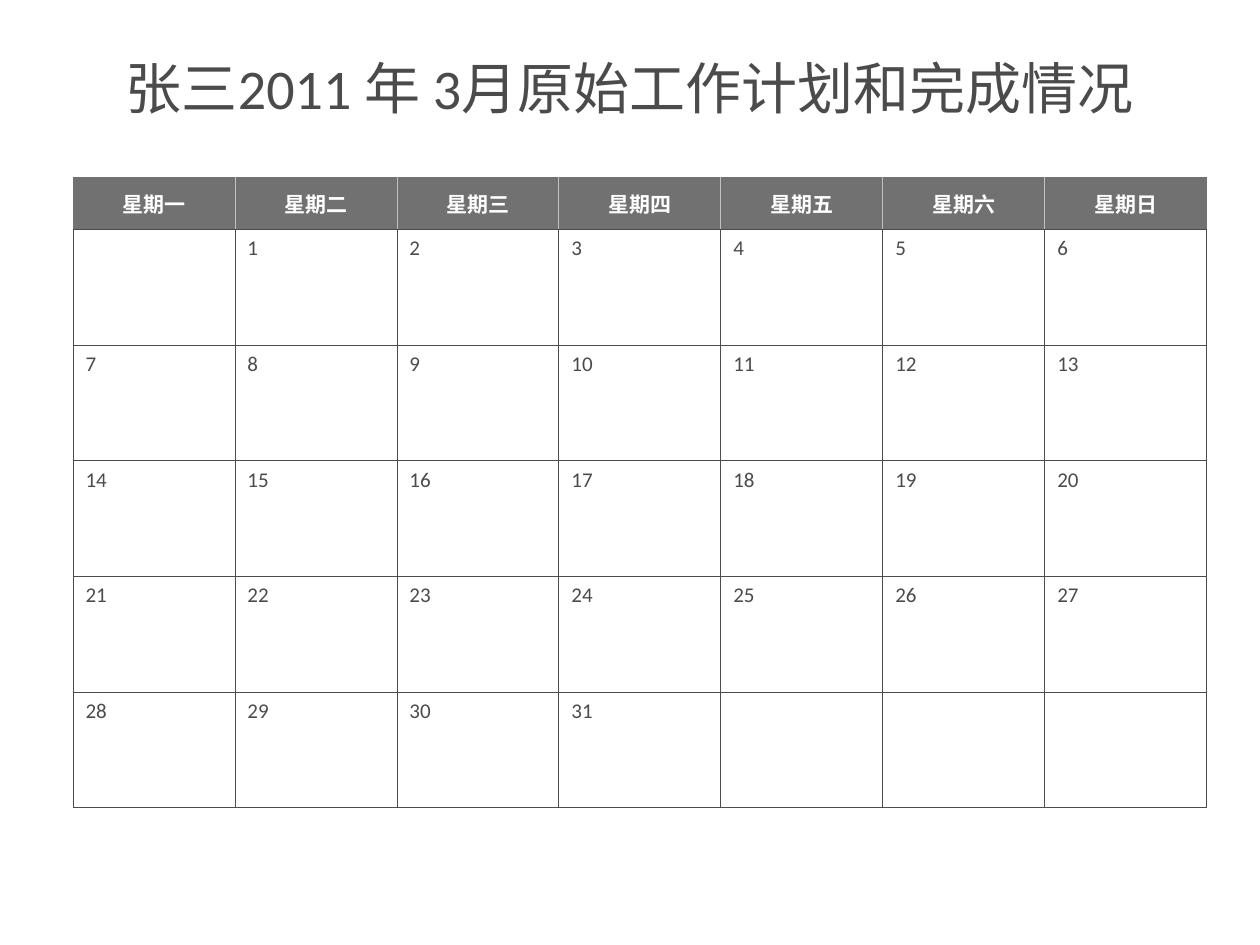
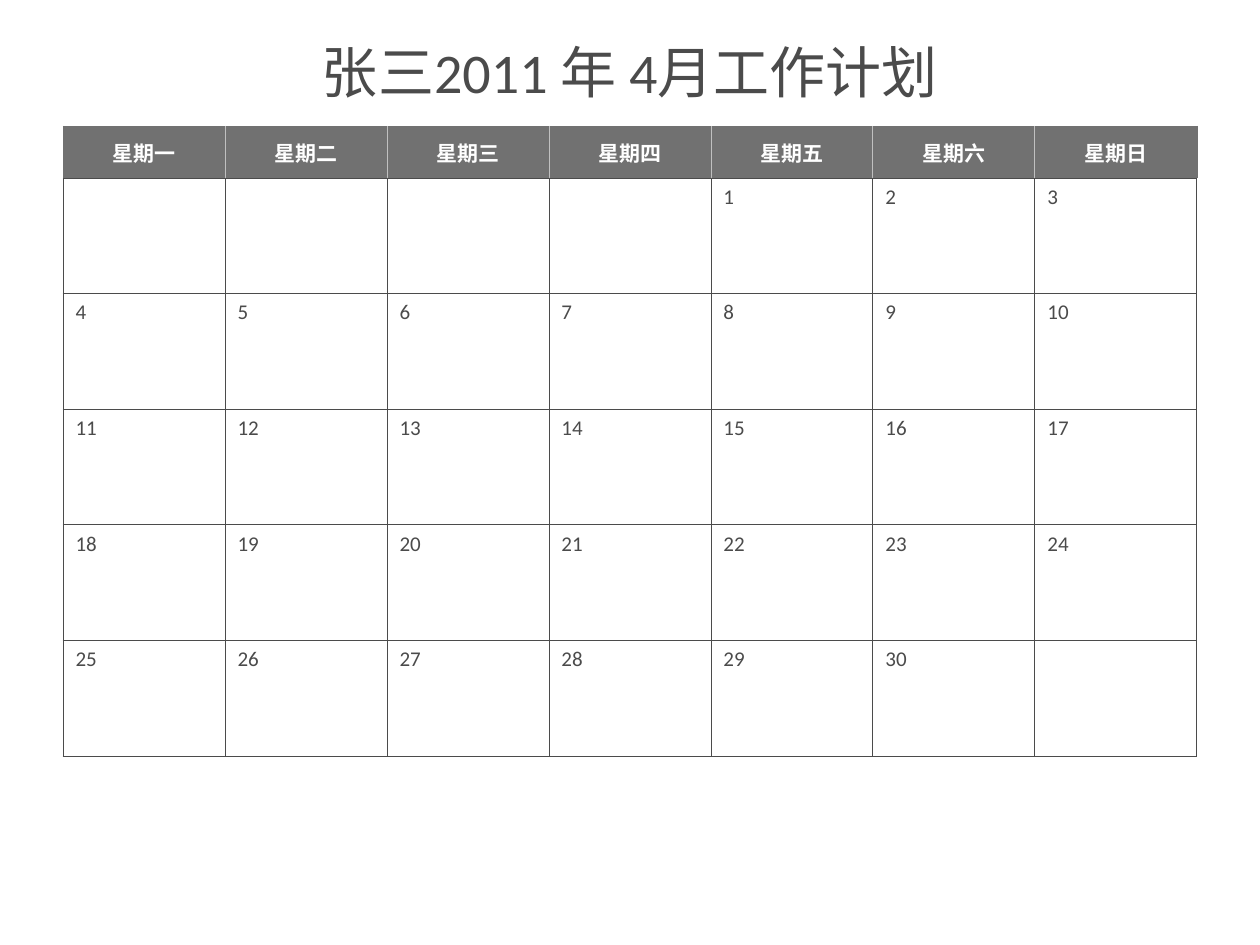
from dataclasses import dataclass

from lxml import etree
from pptx import Presentation
from pptx.dml.color import RGBColor
from pptx.enum.text import MSO_ANCHOR, PP_ALIGN
from pptx.oxml.ns import qn
from pptx.slide import Slide
from pptx.table import _Cell
from pptx.util import Cm, Pt

CENTER, LEFT = PP_ALIGN.CENTER, PP_ALIGN.LEFT
MIDDLE, TOP = MSO_ANCHOR.MIDDLE, MSO_ANCHOR.TOP

COLORS = {"ink": "4B4B4B", "header": "717171", "divider": "C0C0C0", "white": "FFFFFF"}
LATIN_FONT = "Calibri"
CJK_FONT = "Noto Sans CJK SC"

WEEKDAYS = ["星期一", "星期二", "星期三", "星期四", "星期五", "星期六", "星期日"]
WEEKS = 5
CALENDAR_WIDTH = 22.86
HEADER_HEIGHT = 1.05
WEEK_HEIGHT = 2.33
GRID_LINE = 0.45
HAIRLINE = 0.23


@dataclass(frozen=True)
class MonthPlan:
    """Lengths are in centimetres; first_weekday counts from Monday = 0."""
    title: str
    title_height: float
    left: float
    top: float
    first_weekday: int
    days: int


@dataclass(frozen=True)
class TextStyle:
    size: float
    color: str
    latin: str = LATIN_FONT
    bold: bool = False
    align: PP_ALIGN = LEFT
    anchor: MSO_ANCHOR = TOP
    space_before: float = 0


TITLE = TextStyle(32, "ink", align=CENTER, anchor=MIDDLE)
WEEKDAY = TextStyle(12, "white", CJK_FONT, bold=True, align=CENTER, anchor=MIDDLE)
DATE = TextStyle(12, "ink", space_before=3)

PLANS = [
    MonthPlan("张三2011 年 3月原始工作计划和完成情况", 1.98, 1.47, 3.58, 1, 31),
    MonthPlan("张三2011 年 4月工作计划", 1.35, 1.27, 2.54, 4, 30),
]


def write(frame, text: str, style: TextStyle) -> None:
    """Put one styled run in the first paragraph of a text frame."""
    paragraph = frame.paragraphs[0]
    paragraph.alignment = style.align
    paragraph.space_before = Pt(style.space_before)
    run = paragraph.add_run()
    run.text = text
    font = run.font
    font.size, font.bold, font.name = Pt(style.size), style.bold, style.latin
    font.color.rgb = RGBColor.from_string(COLORS[style.color])
    east_asian = etree.SubElement(font._element, qn("a:ea"))
    east_asian.set("typeface", CJK_FONT)


def set_border(cell: _Cell, side: str, color: str, width: float) -> None:
    properties = cell._tc.get_or_add_tcPr()
    line = etree.SubElement(properties, qn(f"a:ln{side}"), w=str(Pt(width)))
    fill = etree.SubElement(line, qn("a:solidFill"))
    etree.SubElement(fill, qn("a:srgbClr"), val=COLORS[color])


def fill_header_cell(cell: _Cell, column: int) -> None:
    edge, divider = ("header", HAIRLINE), ("divider", GRID_LINE)
    set_border(cell, "L", *(edge if column == 0 else divider))
    set_border(cell, "R", *(edge if column == len(WEEKDAYS) - 1 else divider))
    set_border(cell, "T", *edge)
    set_border(cell, "B", "ink", GRID_LINE)
    cell.fill.solid()
    cell.fill.fore_color.rgb = RGBColor.from_string(COLORS["header"])
    cell.vertical_anchor = WEEKDAY.anchor
    write(cell.text_frame, WEEKDAYS[column], WEEKDAY)


def fill_date_cell(cell: _Cell, day: int, days: int) -> None:
    """Frame a date cell, numbered only if the day is in the month."""
    for side in "LRTB":
        set_border(cell, side, "ink", GRID_LINE)
    cell.fill.background()
    cell.vertical_anchor = DATE.anchor
    if 1 <= day <= days:
        write(cell.text_frame, str(day), DATE)


def add_title(slide: Slide, plan: MonthPlan) -> None:
    title = slide.shapes.add_textbox(Cm(1.27), Cm(0.76), Cm(22.86), Cm(plan.title_height))
    title.text_frame.word_wrap = True
    title.text_frame.vertical_anchor = TITLE.anchor
    write(title.text_frame, plan.title, TITLE)


def add_calendar(slide: Slide, plan: MonthPlan) -> None:
    height = HEADER_HEIGHT + WEEKS * WEEK_HEIGHT
    calendar = slide.shapes.add_table(
        WEEKS + 1, len(WEEKDAYS),
        Cm(plan.left), Cm(plan.top), Cm(CALENDAR_WIDTH), Cm(height),
    ).table
    calendar.horz_banding = False
    for row_index, row in enumerate(calendar.rows):
        row.height = Cm(WEEK_HEIGHT if row_index else HEADER_HEIGHT)
        for column, cell in enumerate(row.cells):
            if row_index == 0:
                fill_header_cell(cell, column)
            else:
                day = (row_index - 1) * len(WEEKDAYS) + column - plan.first_weekday + 1
                fill_date_cell(cell, day, plan.days)


def main() -> None:
    presentation = Presentation()
    presentation.slide_width, presentation.slide_height = Cm(25.4), Cm(19.05)
    blank = presentation.slide_layouts[6]
    for plan in PLANS:
        slide = presentation.slides.add_slide(blank)
        add_title(slide, plan)
        add_calendar(slide, plan)
    presentation.save("out.pptx")


if __name__ == "__main__":
    main()
